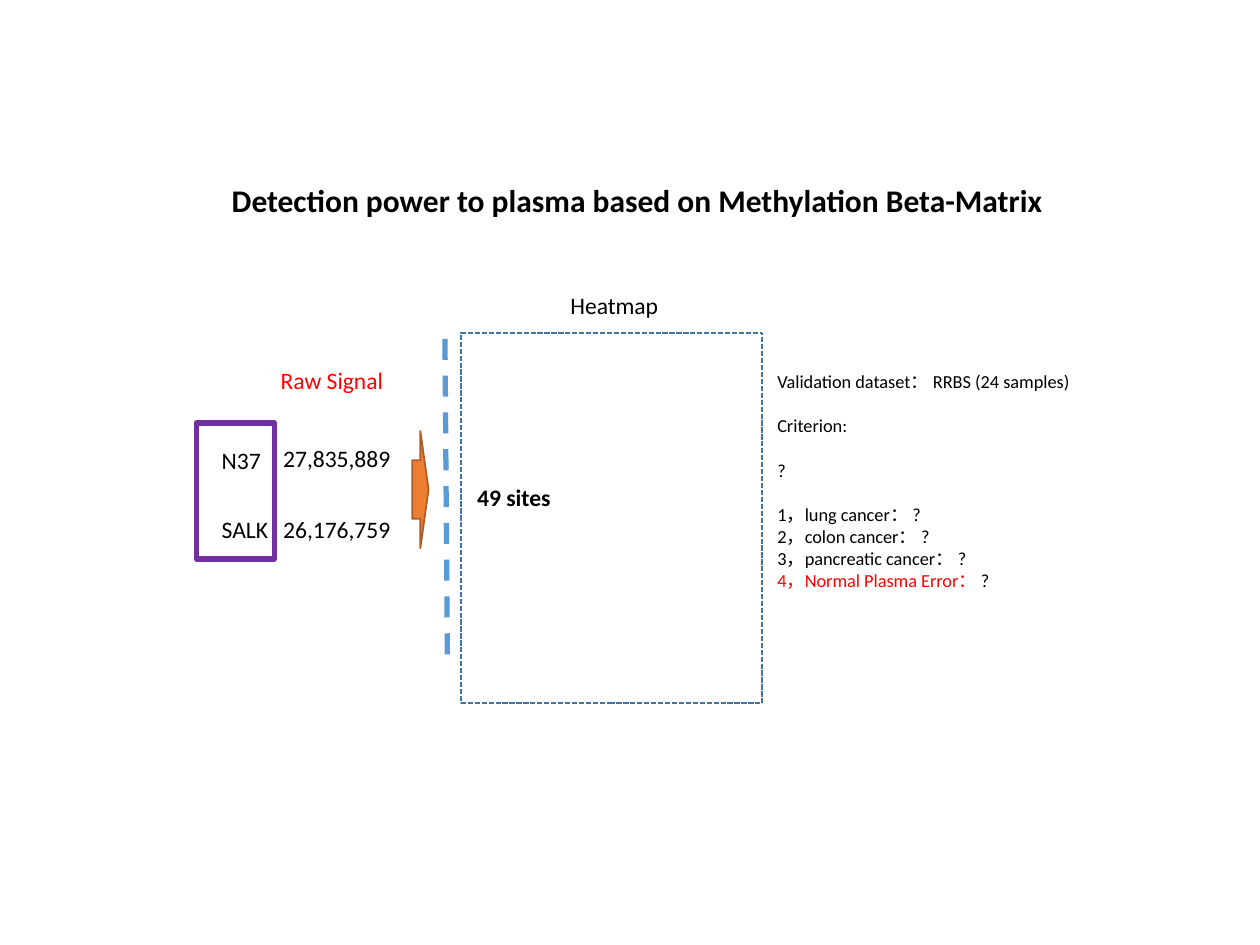
from dataclasses import dataclass
from typing import Optional

from lxml.etree import SubElement
from pptx import Presentation
from pptx.dml.color import RGBColor as RGB
from pptx.enum.dml import MSO_LINE_DASH_STYLE as Dash
from pptx.enum.shapes import MSO_CONNECTOR as Conn, MSO_SHAPE as Shape
from pptx.enum.text import MSO_ANCHOR as Anchor, MSO_AUTO_SIZE as AutoSize, PP_ALIGN as Align
from pptx.oxml.ns import qn
from pptx.util import Cm, Pt


@dataclass(frozen=True)
class Theme:
    font: str = "Calibri"
    title: float = 18
    label: float = 13.5
    note: float = 10.5
    text: str = "000000"
    accent: str = "FF0000"
    divider: str = "5B9BD5"
    heatmap: str = "43739E"
    group: str = "7030A0"
    arrow: str = "ED7D31"
    arrow_edge: str = "AF5C24"


T = Theme()


@dataclass(frozen=True)
class Place:
    left: float
    top: float
    width: float
    height: float

    def lengths(self) -> list:
        return [Cm(v) for v in (self.left, self.top, self.width, self.height)]


@dataclass(frozen=True)
class Label:
    text: str
    place: Place
    color: str = T.text
    bold: bool = False


@dataclass(frozen=True)
class Box:
    kind: Shape
    place: Place
    edge: str
    weight: float
    dash: Optional[Dash] = None
    fill: Optional[str] = None


@dataclass(frozen=True)
class Note:
    runs: tuple
    gap: bool = False


LABEL_H = 0.84
NAME_X, COUNT_X = 4.22, 5.46
ROW_2 = 10.26

BACK_LABELS = [
    Label("N37", Place(NAME_X, 8.86, 1.32, LABEL_H)),
    Label("SALK", Place(NAME_X, ROW_2, 1.45, LABEL_H)),
]
BOXES = [
    Box(Shape.RECTANGLE, Place(3.96, 8.53, 1.57, 2.74), T.group, 3),
    Box(Shape.RIGHT_ARROW, Place(8.31, 8.69, 0.33, 2.36), T.arrow_edge, 1, fill=T.arrow),
    Box(Shape.RECTANGLE, Place(9.3, 6.71, 6.07, 7.47), T.heatmap, 1, Dash.SQUARE_DOT),
]
FRONT_LABELS = [
    Label("Raw Signal", Place(5.41, 7.24, 2.62, LABEL_H), T.accent),
    Label("26,176,759", Place(COUNT_X, ROW_2, 2.72, LABEL_H)),
    Label("27,835,889", Place(COUNT_X, 8.81, 2.72, LABEL_H)),
    Label("Heatmap", Place(11.25, 5.74, 2.31, LABEL_H)),
    Label("49 sites", Place(9.37, 9.6, 2.01, LABEL_H), bold=True),
]
NOTES = [
    Note((("Validation dataset： RRBS (24 samples)", T.text),)),
    Note((("Criterion:", T.text),), gap=True),
    Note((("?", T.text),), gap=True),
    Note((("1，lung cancer： ?", T.text),), gap=True),
    Note((("2，colon cancer： ?", T.text),)),
    Note((("3，pancreatic cancer： ?", T.text),)),
    Note((("4，Normal Plasma Error：", T.accent), (" ?", T.text))),
]


def set_all(target, values: dict) -> None:
    for name, value in values.items():
        setattr(target, name, value)


def add_run(p, text: str, size: float, color: str, bold: bool = False) -> None:
    r = p.add_run()
    r.text = text
    set_all(r.font, {"name": T.font, "size": Pt(size), "bold": bold})
    r.font.color.rgb = RGB.from_string(color)


def prepare_frame(sp, wrap: bool):
    tf = sp.text_frame
    set_all(tf, {
        "word_wrap": wrap, "auto_size": AutoSize.SHAPE_TO_FIT_TEXT,
        "vertical_anchor": Anchor.TOP,
        "margin_left": Cm(0.25), "margin_right": Cm(0.25),
        "margin_top": Cm(0.13), "margin_bottom": Cm(0.13),
    })
    return tf


def set_title(s, label: Label) -> None:
    sp = s.shapes.title
    set_all(sp, dict(zip(("left", "top", "width", "height"), label.place.lengths())))
    p = prepare_frame(sp, False).paragraphs[0]
    p.alignment = Align.LEFT
    add_run(p, label.text, T.title, label.color, label.bold)


def add_label(s, label: Label) -> None:
    sp = s.shapes.add_textbox(*label.place.lengths())
    p = prepare_frame(sp, False).paragraphs[0]
    add_run(p, label.text, T.label, label.color, label.bold)


def add_box(s, box: Box) -> None:
    sp = s.shapes.add_shape(box.kind, *box.place.lengths())
    sp.shadow.inherit = False
    if box.fill:
        sp.fill.solid()
        sp.fill.fore_color.rgb = RGB.from_string(box.fill)
    else:
        sp.fill.background()
    style_line(sp.line, box.edge, box.weight, box.dash)


def style_line(line, color: str, weight: float, dash: Optional[Dash]) -> None:
    line.color.rgb = RGB.from_string(color)
    set_all(line, {"width": Pt(weight), "dash_style": dash})


def add_divider(s, x1: float, y1: float, x2: float, y2: float) -> None:
    sp = s.shapes.add_connector(Conn.STRAIGHT, Cm(x1), Cm(y1), Cm(x2), Cm(y2))
    style_line(sp.line, T.divider, 3, Dash.DASH)
    SubElement(sp._element.spPr, qn("a:effectLst"))


def add_notes(s, place: Place, notes: list[Note]) -> None:
    tf = prepare_frame(s.shapes.add_textbox(*place.lengths()), True)
    for i, note in enumerate(notes):
        p = tf.add_paragraph() if i else tf.paragraphs[0]
        if note.gap:
            p.space_before = Pt(12.6)
        for text, color in note.runs:
            add_run(p, text, T.note, color)


def main() -> None:
    prs = Presentation()
    set_all(prs, {"slide_width": Cm(25.4), "slide_height": Cm(19.05)})
    s = prs.slides.add_slide(prs.slide_layouts[5])
    set_title(s, Label("Detection power to plasma based on Methylation Beta-Matrix",
                       Place(4.42, 3.51, 16.99, 1.02), bold=True))
    add_divider(s, 8.97, 6.83, 9.02, 13.46)
    for label in BACK_LABELS:
        add_label(s, label)
    add_notes(s, Place(15.42, 7.34, 8.13, 4.75), NOTES)
    for box in BOXES:
        add_box(s, box)
    for label in FRONT_LABELS:
        add_label(s, label)
    prs.save("out.pptx")


if __name__ == "__main__":
    main()
